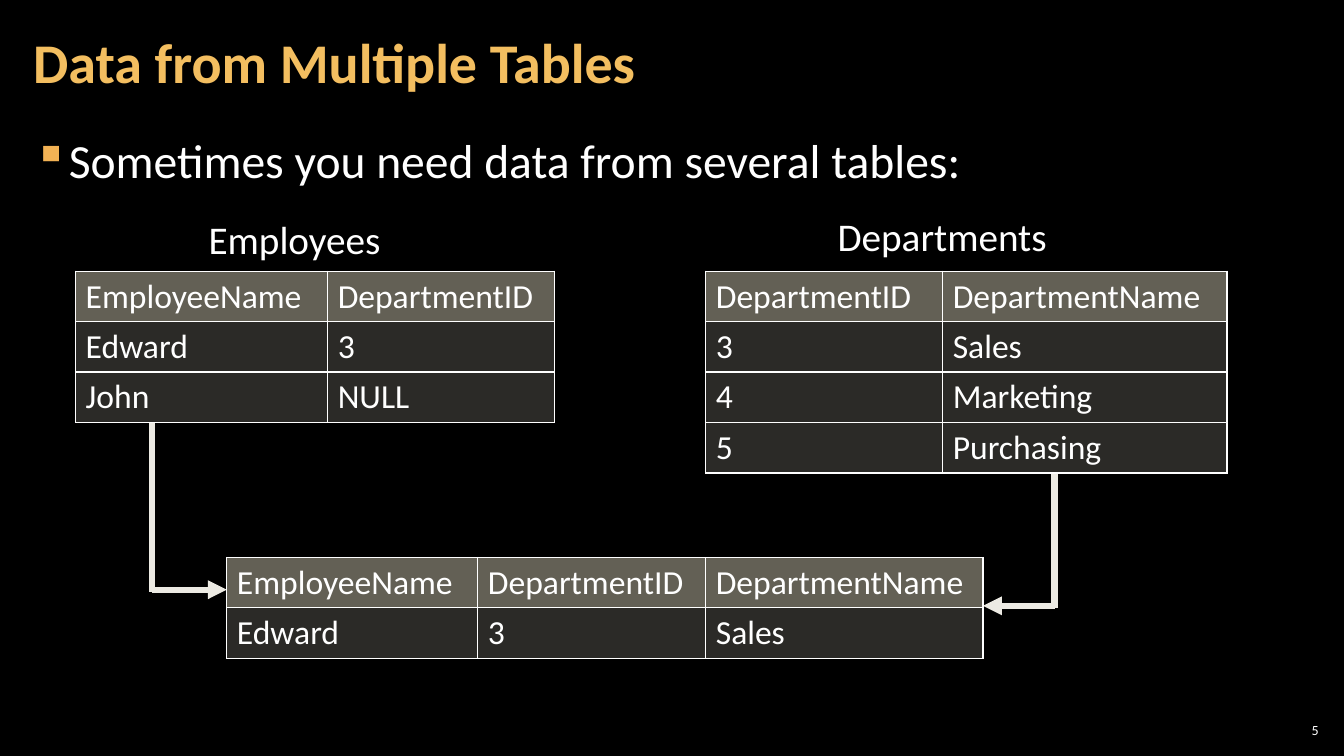
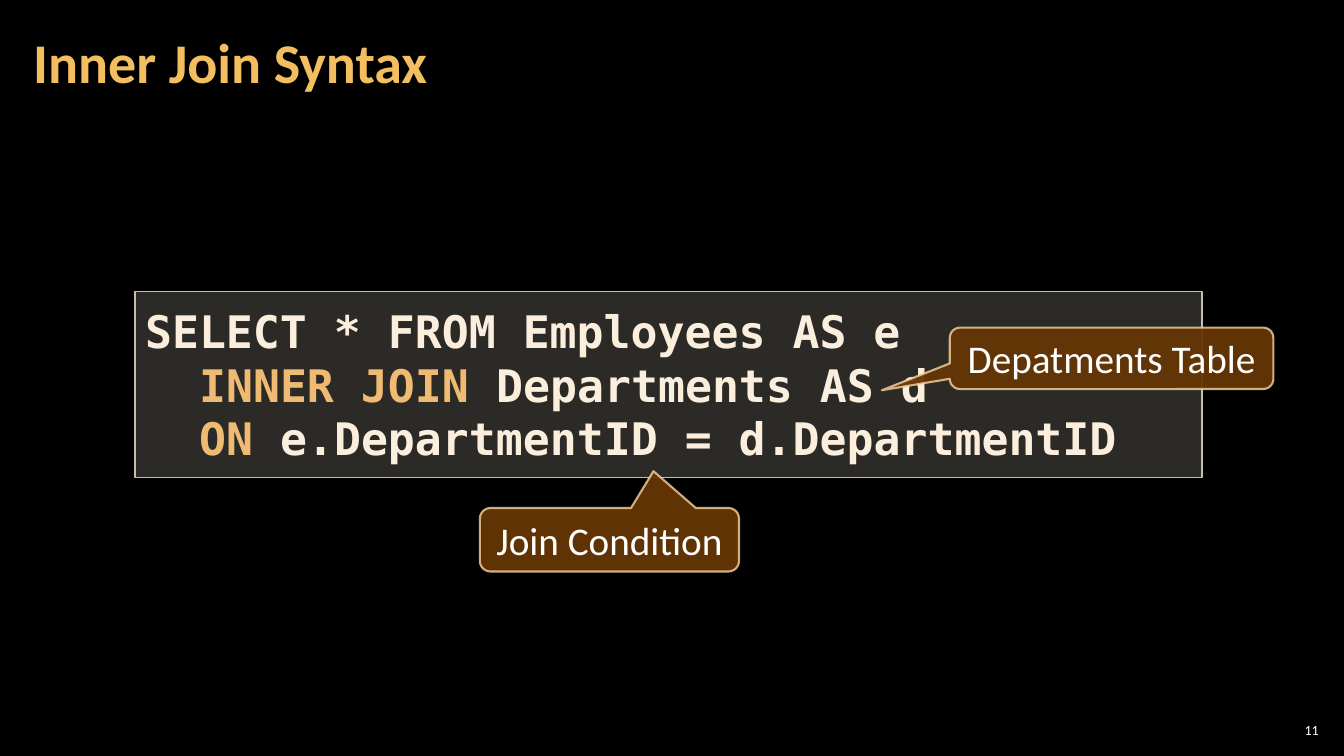
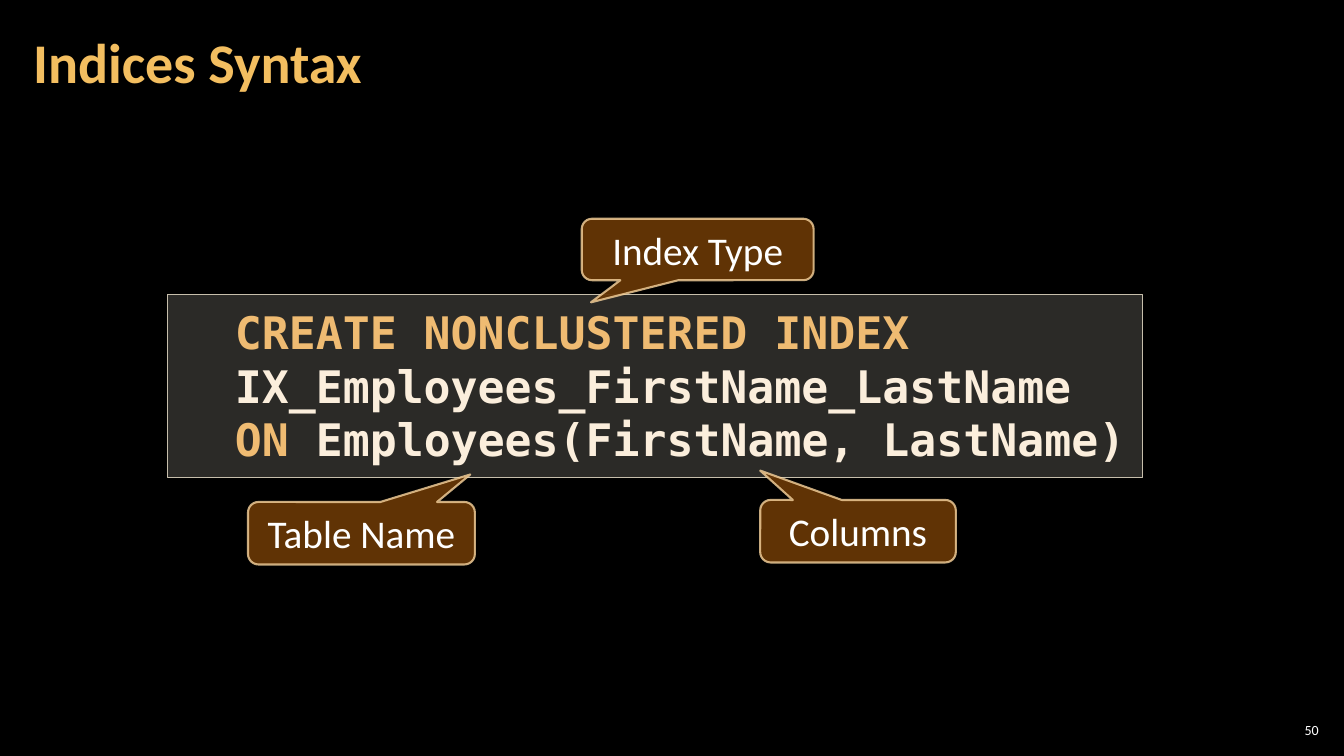
"""Builds three slides on joining tables and index syntax in SQL."""
from lxml import etree
from pptx import Presentation
from pptx.dml.color import RGBColor
from pptx.enum.shapes import MSO_CONNECTOR, MSO_SHAPE
from pptx.enum.text import MSO_ANCHOR, PP_ALIGN
from pptx.oxml.ns import qn
from pptx.util import Inches, Pt

STRAIGHT = MSO_CONNECTOR.STRAIGHT
RECTANGLE = MSO_SHAPE.RECTANGLE
CALLOUT = MSO_SHAPE.ROUNDED_RECTANGULAR_CALLOUT
TOP, MIDDLE = MSO_ANCHOR.TOP, MSO_ANCHOR.MIDDLE
LEFT, CENTER, RIGHT = PP_ALIGN.LEFT, PP_ALIGN.CENTER, PP_ALIGN.RIGHT

BODY_FONT, CODE_FONT = "Calibri", "DejaVu Sans Mono"
BLACK, WHITE = "000000", "FFFFFF"
TITLE_GOLD, BULLET_GOLD = "F3BE60", "F2B254"
KEYWORD, CODE = "EFBB72", "FBEEDC"
HEADER_FILL, PANEL_FILL, PANEL_LINE = "C6C0AA", "D9D5C7", "C7BFAC"
CALLOUT_FILL, CALLOUT_LINE = "663606", "F8D49E"
ARROW = "ECEAE3"
ROW_HEIGHT = 0.5
CORNER_OVERLAP = 0.02

JOIN_TITLE, JOIN_NUMBER = "Data from Multiple Tables", "5"
JOIN_BULLET = "Sometimes you need data from several tables:"
TABLE_NAMES = [("Employees", (1.97, 2.09, 1.92, 0.57)),
               ("Departments", (8.21, 2.06, 2.3, 0.57))]
TABLES = [
    {"at": (0.75, 2.69), "columns": (2.5, 2.25),
     "rows": [("EmployeeName", "DepartmentID"), ("Edward", "3"), ("John", "NULL")]},
    {"at": (7, 2.69), "columns": (2.35, 2.82),
     "rows": [("DepartmentID", "DepartmentName"), ("3", "Sales"),
              ("4", "Marketing"), ("5", "Purchasing")]},
    {"at": (2.25, 5.53), "columns": (2.49, 2.26, 2.75),
     "rows": [("EmployeeName", "DepartmentID", "DepartmentName"),
              ("Edward", "3", "Sales")]},
]
ROUTES = [((10.46, 4.69), (9.75, 6.01)), ((1.51, 4.19), (2.25, 5.85))]

SYNTAX_SLIDES = [
    {"title": "Inner Join Syntax", "number": "11",
     "panel": (1.34, 2.89, 10.58, 1.85), "margins": (0.1, 0.12), "indent": 0,
     "code": [[("SELECT * FROM Employees AS e", CODE)],
              [("  ", CODE), ("INNER JOIN", KEYWORD), (" Departments AS d", CODE)],
              [("  ", CODE), ("ON", KEYWORD),
               (" e.DepartmentID = d.DepartmentID", CODE)]],
     "callouts": [("Depatments Table", (9.42, 3.25, 3.21, 0.61), (-0.71, 0.52)),
                  ("Join Condition", (4.76, 5.04, 2.57, 0.63), (0.17, -1.08))]},
    {"title": "Indices Syntax", "number": "50",
     "panel": (1.66, 2.92, 9.67, 1.82), "margins": (0, 0.1), "indent": 0.67,
     "code": [[("CREATE NONCLUSTERED INDEX", KEYWORD),
               (" IX_Employees_FirstName_LastName", CODE)],
              [("ON", KEYWORD), (" Employees(FirstName, LastName)", CODE)]],
     "callouts": [("Table Name", (2.46, 4.98, 2.25, 0.62), (0.48, -0.94)),
                  ("Columns", (7.54, 4.96, 1.94, 0.62), (-0.5, -0.97)),
                  ("Index Type", (5.77, 2.17, 2.3, 0.61), (-0.46, 0.86))]},
]


def rgb(color):
    return RGBColor.from_string(color)


def inches(values):
    return [Inches(value) for value in values]


def add_xml(parent, tag, **attributes):
    return etree.SubElement(parent, qn(tag), attributes)


def set_opacity(parent, percent):
    color = parent.find(".//" + qn("a:srgbClr"))
    add_xml(color, "a:alpha", val=str(percent * 1000))


def style(font, size, color, bold=False, name=BODY_FONT):
    font.name, font.size, font.bold = name, Pt(size), bold
    font.color.rgb = rgb(color)


def set_frame(frame, margins, anchor=TOP, wrap=True):
    frame.margin_left, frame.margin_top, frame.margin_right, frame.margin_bottom = (
        inches(margins))
    frame.vertical_anchor, frame.word_wrap = anchor, wrap


def add_text(slide, text, place, size, color=WHITE, bold=False,
             margins=(0.1, 0.05, 0.1, 0.05), anchor=TOP, wrap=True, align=LEFT):
    frame = slide.shapes.add_textbox(*inches(place)).text_frame
    set_frame(frame, margins, anchor, wrap)
    frame.text = text
    paragraph = frame.paragraphs[0]
    paragraph.alignment = align
    style(paragraph.runs[0].font, size, color, bold)
    return paragraph


def new_slide(deck, title, number):
    slide = deck.slides.add_slide(deck.slide_layouts[6])
    slide.background.fill.solid()
    slide.background.fill.fore_color.rgb = rgb(BLACK)
    heading = add_text(slide, title, (0.21, 0.04, 10.47, 1.21), 40, TITLE_GOLD, True,
                       (0.12, 0.04, 0.12, 0.04), MIDDLE)
    heading.line_spacing = 0.9
    add_text(slide, number, (12.65, 7.14, 0.47, 0.21), 10,
             margins=(0.04,) * 4, anchor=MIDDLE, align=RIGHT)
    return slide


def add_bullet(slide, text):
    paragraph = add_text(slide, text, (0.21, 1.26, 12.91, 6.09), 34,
                         margins=(0.12, 0.04, 0.12, 0.04))
    properties = paragraph._p.get_or_add_pPr()
    properties.set("marL", str(Inches(0.33)))
    properties.set("indent", str(Inches(-0.33)))
    add_xml(add_xml(properties, "a:buClr"), "a:srgbClr", val=BULLET_GOLD)
    add_xml(properties, "a:buChar", char="▪")


def add_arrow(slide, start, end):
    corner = (start[0], end[1])
    below_corner = (corner[0], corner[1] + CORNER_OVERLAP)
    for first, last in [(start, below_corner), (corner, end)]:
        segment = slide.shapes.add_connector(STRAIGHT, *inches(first + last))
        segment.line.color.rgb = rgb(ARROW)
        segment.line.width = Pt(4.5)
        if last == end:
            add_xml(segment.line._get_or_add_ln(), "a:tailEnd", type="triangle")
        add_xml(segment._element.spPr, "a:effectLst")


def style_cell(cell, text, fill, opacity):
    cell.text = text
    style(cell.text_frame.paragraphs[0].runs[0].font, 24, WHITE)
    properties = cell._tc.get_or_add_tcPr()
    for side in "LRTB":
        border = add_xml(properties, f"a:ln{side}", w=str(Pt(1)))
        add_xml(add_xml(border, "a:solidFill"), "a:srgbClr", val=WHITE)
    cell.fill.solid()
    cell.fill.fore_color.rgb = rgb(fill)
    set_opacity(properties.find(qn("a:solidFill")), opacity)


def add_data_table(slide, at, columns, rows):
    size = (sum(columns), ROW_HEIGHT * len(rows))
    table = slide.shapes.add_table(len(rows), len(columns), *inches(at + size)).table
    table.horz_banding = False
    for column, width in zip(table.columns, columns):
        column.width = Inches(width)
    for row, values in enumerate(rows):
        fill, opacity = (PANEL_FILL, 20) if row else (HEADER_FILL, 50)
        for column, value in enumerate(values):
            style_cell(table.cell(row, column), value, fill, opacity)


def add_box(slide, kind, place, fill, opacity, outline, width):
    box = slide.shapes.add_shape(kind, *inches(place))
    box.shadow.inherit = False
    box.fill.solid()
    box.fill.fore_color.rgb = rgb(fill)
    set_opacity(box._element.spPr.find(qn("a:solidFill")), opacity)
    box.line.color.rgb = rgb(outline)
    box.line.width = Pt(width)
    return box


def add_code(slide, place, margins, indent, lines):
    panel = add_box(slide, RECTANGLE, place, PANEL_FILL, 20, PANEL_LINE, 1)
    frame = panel.text_frame
    side, edge = margins
    set_frame(frame, (side, edge, 0, edge))
    for index, line in enumerate(lines):
        paragraph = frame.add_paragraph() if index else frame.paragraphs[0]
        paragraph.alignment = LEFT
        paragraph._p.get_or_add_pPr().set("marL", str(Inches(indent)))
        for text, color in line:
            run = paragraph.add_run()
            run.text = text
            style(run.font, 32, color, True, CODE_FONT)


def add_callout(slide, text, place, pointer):
    callout = add_box(slide, CALLOUT, place, CALLOUT_FILL, 95, CALLOUT_LINE, 1.5)
    set_opacity(callout.line._get_or_add_ln(), 80)
    callout.adjustments[0], callout.adjustments[1] = pointer
    frame = callout.text_frame
    set_frame(frame, (0.1, 0.05, 0.1, 0.05), MIDDLE)
    frame.text = text
    frame.paragraphs[0].alignment = CENTER
    style(frame.paragraphs[0].runs[0].font, 28, WHITE)


def build_join_slide(deck):
    slide = new_slide(deck, JOIN_TITLE, JOIN_NUMBER)
    add_bullet(slide, JOIN_BULLET)
    for start, end in ROUTES:
        add_arrow(slide, start, end)
    for name, place in TABLE_NAMES:
        add_text(slide, name, place, 28, wrap=False)
    for table in TABLES:
        add_data_table(slide, **table)


def build_syntax_slide(deck, content):
    slide = new_slide(deck, content["title"], content["number"])
    add_code(slide, content["panel"], content["margins"], content["indent"],
             content["code"])
    for text, place, pointer in content["callouts"]:
        add_callout(slide, text, place, pointer)


def main():
    deck = Presentation()
    deck.slide_width, deck.slide_height = Inches(13.33), Inches(7.5)
    build_join_slide(deck)
    for content in SYNTAX_SLIDES:
        build_syntax_slide(deck, content)
    deck.save("out.pptx")


if __name__ == "__main__":
    main()
